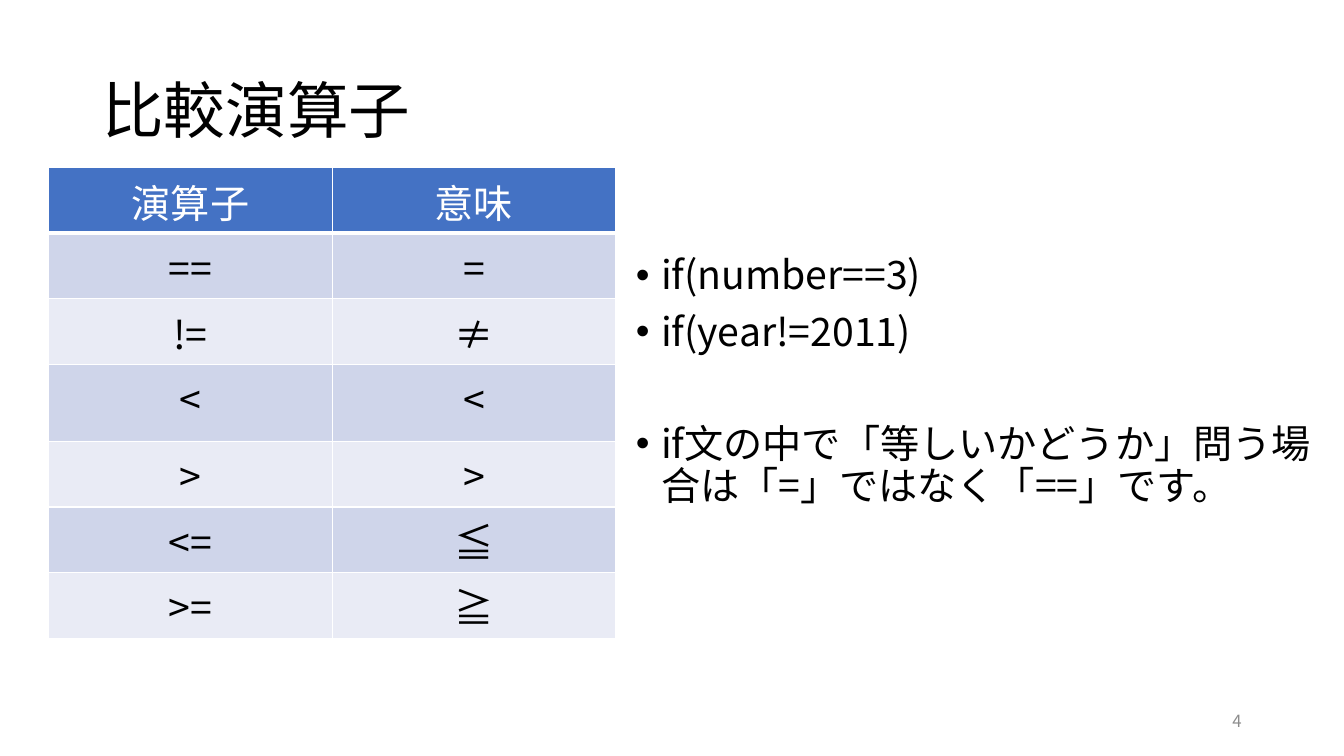
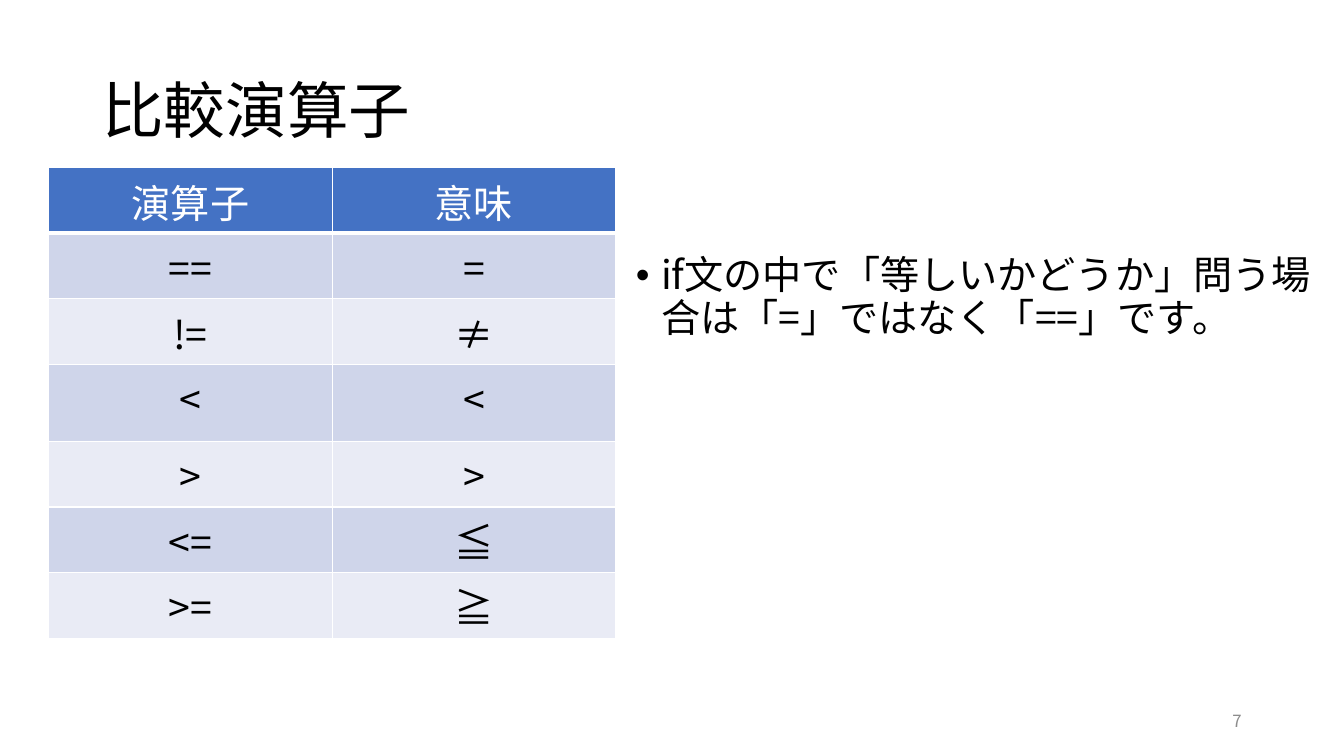
from lxml import etree
from pptx import Presentation
from pptx.dml.color import RGBColor
from pptx.enum import text
from pptx.oxml import ns
from pptx.util import Pt

FONT = "Noto Sans CJK JP"
COLORS = {
    "ink": "000000", "white": "FFFFFF", "number": "8C8C8C",
    "header": "4472C4", "odd": "CFD5EA", "even": "E9EBF5",
}
TITLE = {"size": 44, "color": "ink"}
BODY = {"size": 28, "color": "ink"}
HEADER = {"size": 28, "color": "white"}
NUMBER = {"size": 12, "color": "number"}

TITLE_BOX = (66, 28.8, 828, 104.4)
TABLE_BOX = (34.8, 119.8, 405, 334)
BODY_BOX = (447.1, 179.3, 507.6, 206.6)
NUMBER_BOX = (678, 500.4, 216, 28.8)

ROW_HEIGHTS = [46.8, 46.8, 46.8, 55.2, 46.8, 46.8, 46.8]
OPERATORS = [
    ("演算子", "意味"), ("==", "="), ("!=", "≠"), ("<", "<"),
    (">", ">"), ("<=", "≦"), (">=", "≧"),
]
EQUALITY_NOTE = "if文の中で「等しいかどうか」問う場合は「=」ではなく「==」です。"
SLIDES = [
    ("4", [("if(number==3)", 0), ("if(year!=2011)", 10), (EQUALITY_NOTE, 50)]),
    ("7", [(EQUALITY_NOTE, 0)]),
]


def rgb(name):
    return RGBColor.from_string(COLORS[name])


def add_child(parent, tag, **attrs):
    return etree.SubElement(parent, ns.qn(tag), attrs)


def write(p, content, style, **para_format):
    for name, value in para_format.items():
        setattr(p, name, value)
    r = p.add_run()
    r.text = content
    for name, value in {"size": Pt(style["size"]), "name": FONT, "bold": False}.items():
        setattr(r.font, name, value)
    r.font.color.rgb = rgb(style["color"])
    add_child(r.font._element, "a:ea", typeface=FONT)


def add_text_frame(s, box, anchor=text.MSO_ANCHOR.MIDDLE):
    tf = s.shapes.add_textbox(*map(Pt, box)).text_frame
    tf.word_wrap = True
    tf.vertical_anchor = anchor
    return tf


def add_title(s, box, content):
    write(add_text_frame(s, box).paragraphs[0], content, TITLE, line_spacing=0.9)


def add_number(s, box, number):
    p = add_text_frame(s, box).paragraphs[0]
    write(p, number, NUMBER, alignment=text.PP_ALIGN.RIGHT)


def add_bullets(s, box, items):
    tf = add_text_frame(s, box, text.MSO_ANCHOR.TOP)
    for i, (content, gap) in enumerate(items):
        p = tf.add_paragraph() if i else tf.paragraphs[0]
        pPr = p._p.get_or_add_pPr()
        pPr.set("marL", str(Pt(18)))
        pPr.set("indent", str(-Pt(18)))
        add_child(pPr, "a:buFont", typeface="Arial")
        add_child(pPr, "a:buChar", char="•")
        write(p, content, BODY, line_spacing=0.9, space_before=Pt(gap))


def add_borders(cell, widths):
    tcPr = cell._tc.get_or_add_tcPr()
    for side, width in widths.items():
        ln = add_child(tcPr, f"a:ln{side}", w=str(Pt(width)))
        fill = add_child(ln, "a:solidFill")
        add_child(fill, "a:srgbClr", val=COLORS["white"])


def add_operator_table(s, box, rows):
    table = s.shapes.add_table(len(rows), len(rows[0]), *map(Pt, box)).table
    for column in table.columns:
        column.width = Pt(box[2] / len(rows[0]))
    for i, (row, height) in enumerate(zip(rows, ROW_HEIGHTS)):
        table.rows[i].height = Pt(height)
        fill = "header" if i == 0 else "odd" if i % 2 else "even"
        for j, content in enumerate(row):
            cell = table.cell(i, j)
            add_borders(cell, {"L": 1, "R": 1, "T": 1, "B": 1 if i else 3})
            cell.fill.solid()
            cell.fill.fore_color.rgb = rgb(fill)
            write(cell.text_frame.paragraphs[0], content, BODY if i else HEADER,
                  alignment=text.PP_ALIGN.CENTER)


def add_operator_slide(prs, number, items):
    s = prs.slides.add_slide(prs.slide_layouts[6])
    add_title(s, TITLE_BOX, "比較演算子")
    add_bullets(s, BODY_BOX, items)
    add_operator_table(s, TABLE_BOX, OPERATORS)
    add_number(s, NUMBER_BOX, number)


def main():
    prs = Presentation()
    prs.slide_width, prs.slide_height = Pt(960), Pt(540)
    for number, items in SLIDES:
        add_operator_slide(prs, number, items)
    prs.save("out.pptx")


if __name__ == "__main__":
    main()
